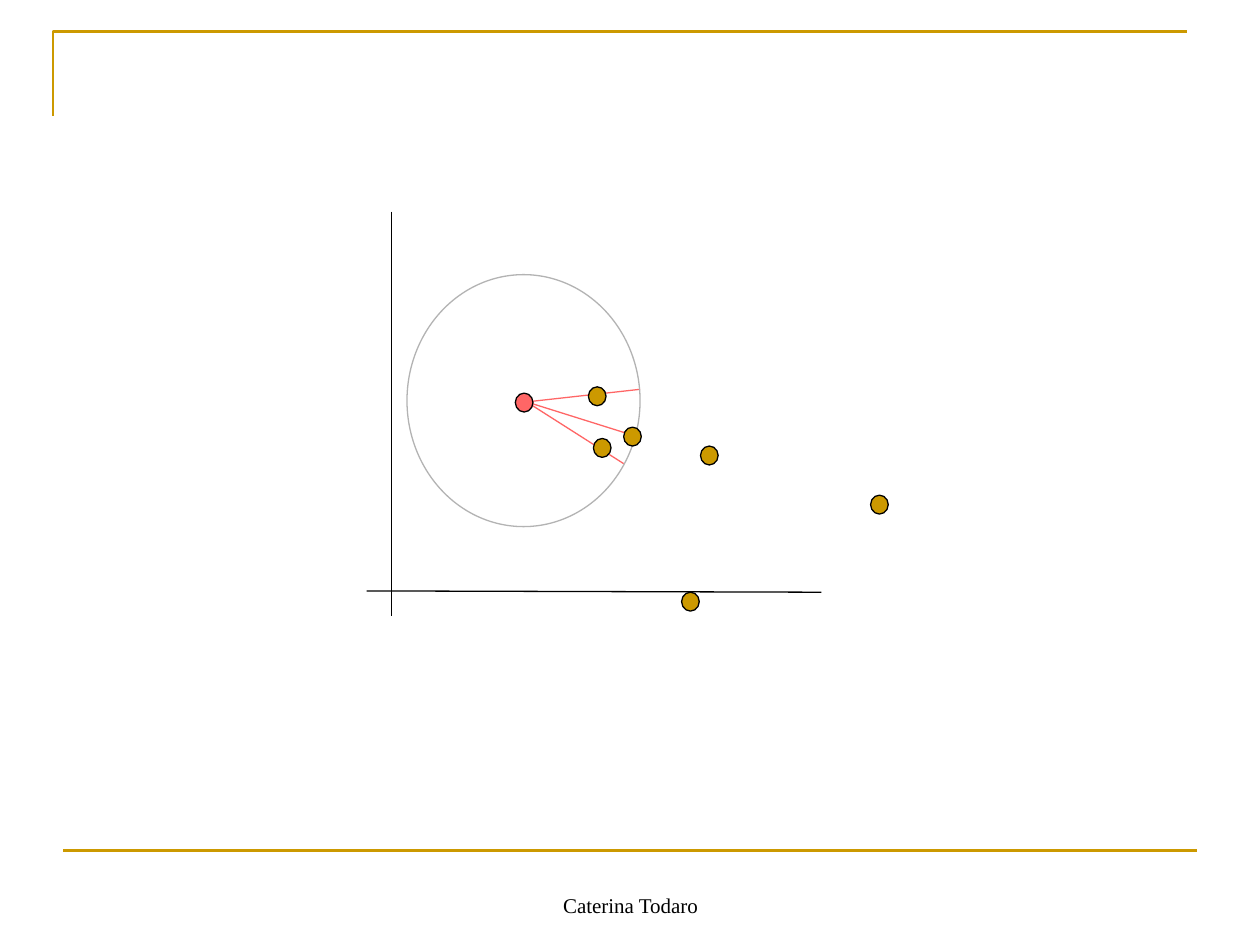
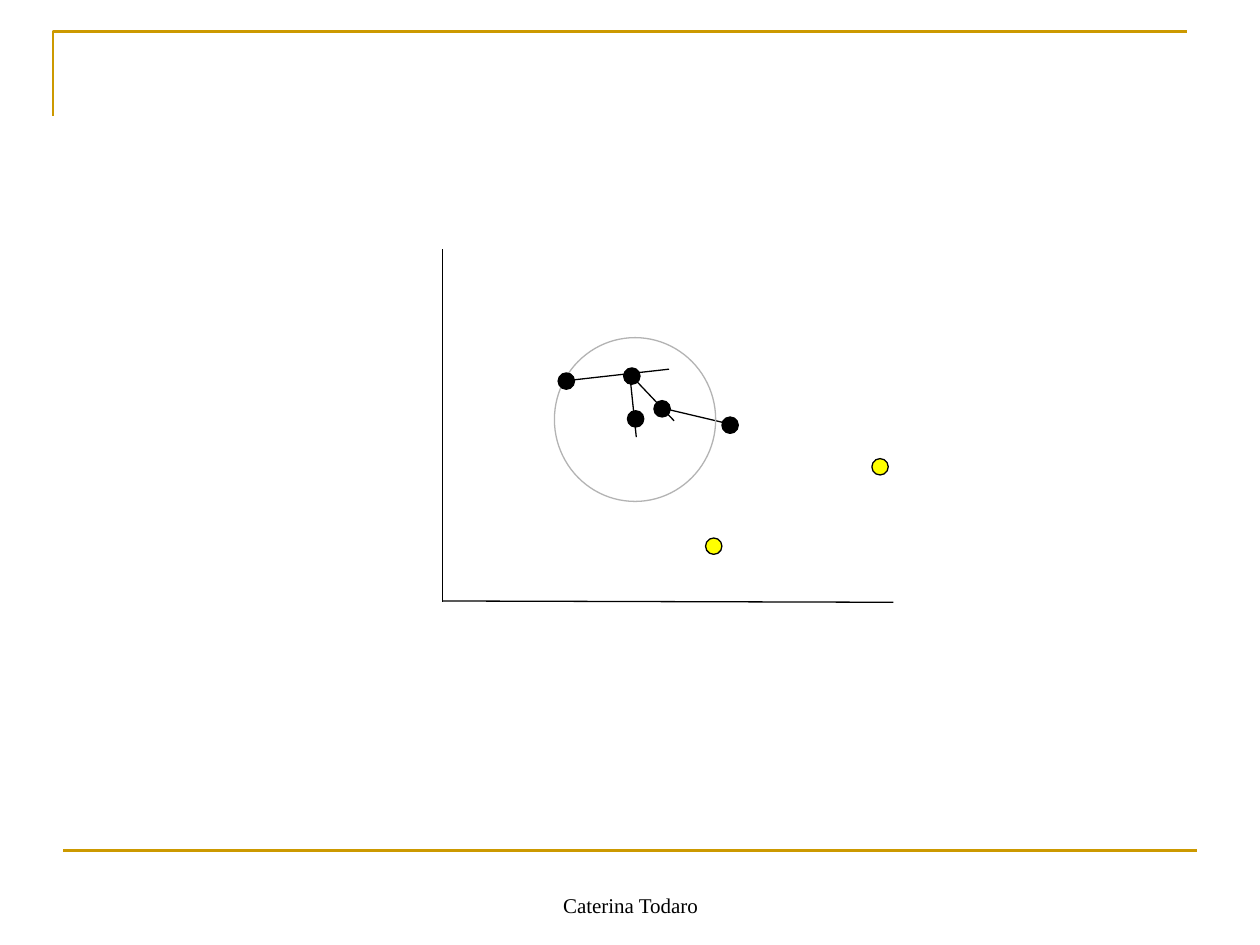
from pptx import Presentation
from pptx.dml.color import RGBColor
from pptx.enum.shapes import MSO_CONNECTOR, MSO_SHAPE
from pptx.enum.text import MSO_ANCHOR, PP_ALIGN
from pptx.oxml.ns import qn
from pptx.util import Inches, Pt
from lxml.etree import SubElement

COLORS = {
    "gold": "CC9900",
    "red": "FF6666",
    "gray": "B3B3B3",
    "black": "000000",
    "yellow": "FFFF00",
}
FONT = "Times New Roman"
BLANK = 6


def color(name):
    return RGBColor.from_string(COLORS[name])


def write(frame, text, size=12, tint="black", align=PP_ALIGN.CENTER):
    para = frame.paragraphs[0]
    para.alignment = align
    run = para.add_run()
    run.text = text
    run.font.name = FONT
    run.font.size = Pt(size)
    run.font.color.rgb = color(tint)


class Deck:
    def __init__(self):
        self.prs = Presentation()
        self.prs.slide_width = Inches(10)
        self.prs.slide_height = Inches(7.5)
        self.slide = None

    def start(self):
        """Open a slide with the gold frame and the footer."""
        self.slide = self.prs.slides.add_slide(self.prs.slide_layouts[BLANK])
        self.corner((0.42, 0.92), (0.42, 0.25), (9.42, 0.25))
        self.line((0.5, 6.75), (9.5, 6.75), "gold", 1.5)
        self.label("Caterina Todaro", 3.42, 6.83, 3.17, 0.5)

    def pen(self, shape, tint, width):
        shape.line.color.rgb = color(tint)
        shape.line.width = Pt(width)

    def corner(self, first, *rest):
        path = self.slide.shapes.build_freeform(*map(Inches, first))
        path.add_line_segments([tuple(map(Inches, p)) for p in rest], close=False)
        shape = path.convert_to_shape()
        shape.shadow.inherit = False
        shape.fill.background()
        self.pen(shape, "gold", 1.5)

    def line(self, begin, end, tint="black", width=0.75):
        line = self.slide.shapes.add_connector(
            MSO_CONNECTOR.STRAIGHT, *map(Inches, begin + end))
        self.pen(line, tint, width)
        SubElement(line._element.spPr, qn("a:effectLst"))

    def oval(self, spot, size, fill=None, tint="black"):
        shape = self.slide.shapes.add_shape(
            MSO_SHAPE.OVAL, *map(Inches, spot + size))
        shape.shadow.inherit = False
        if fill:
            shape.fill.solid()
            shape.fill.fore_color.rgb = color(fill)
        else:
            shape.fill.background()
        self.pen(shape, tint, 0.75)

    def dots(self, spots, size, fill):
        for spot in spots:
            self.oval(spot, size, fill)

    def label(self, text, *box):
        frame = self.slide.shapes.add_textbox(*map(Inches, box)).text_frame
        frame.word_wrap = True
        frame.vertical_anchor = MSO_ANCHOR.BOTTOM
        write(frame, text)


def add_rays(deck):
    """Rays run from one red point to its near points."""
    deck.start()
    for end in ((5.08, 3.09), (4.95, 3.68), (5.04, 3.46)):
        deck.line((4.18, 3.19), end, "red")
    deck.oval((3.23, 2.18), (1.85, 2), tint="gray")
    size = (0.14, 0.15)
    deck.dots([(4.09, 3.12)], size, "red")
    deck.dots([(4.67, 3.07), (5.56, 3.54), (5.41, 4.7), (4.71, 3.48),
               (4.95, 3.39), (6.91, 3.93)], size, "gold")
    deck.line((3.11, 1.68), (3.11, 4.89))
    deck.line((2.91, 4.69), (6.52, 4.7))


def add_chain(deck):
    """Black points are linked in a chain; yellow ones stay apart."""
    deck.start()
    deck.line((3.51, 1.98), (3.51, 4.78))
    deck.line((3.51, 4.77), (7.09, 4.78))
    for begin, end in (((4.51, 3.02), (5.31, 2.93)),
                       ((5, 2.99), (5.05, 3.47)),
                       ((4.99, 2.96), (5.35, 3.34)),
                       ((5.26, 3.24), (5.81, 3.37))):
        deck.line(begin, end)
    deck.oval((4.4, 2.68), (1.28, 1.3), tint="gray")
    size = (0.13, 0.13)
    deck.dots([(4.43, 2.96), (4.95, 2.92), (5.73, 3.31), (4.98, 3.26),
               (5.19, 3.18)], size, "black")
    deck.dots([(5.6, 4.27), (6.92, 3.64)], size, "yellow")


def main():
    deck = Deck()
    add_rays(deck)
    add_chain(deck)
    deck.prs.save("out.pptx")


if __name__ == "__main__":
    main()
